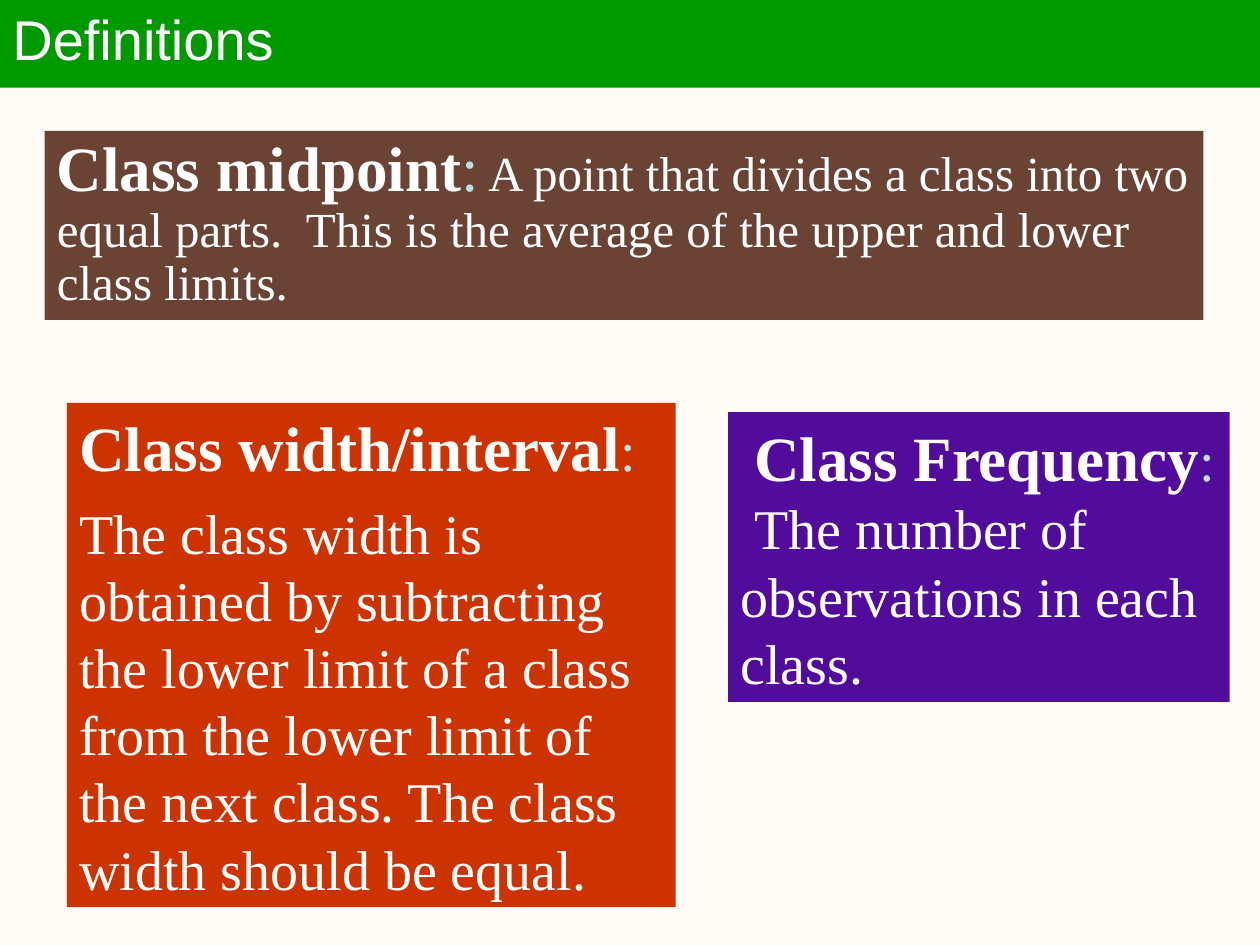
from dataclasses import dataclass

from pptx import Presentation
from pptx.dml.color import RGBColor
from pptx.enum.shapes import MSO_SHAPE
from pptx.enum.text import MSO_ANCHOR, PP_ALIGN
from pptx.util import Cm, Pt

RECT = MSO_SHAPE.RECTANGLE
TOP, MIDDLE = MSO_ANCHOR.TOP, MSO_ANCHOR.MIDDLE
LEFT = PP_ALIGN.LEFT
SERIF, SANS = "Times New Roman", "Arial"
COLORS = {
    "background": "FFFCF7",
    "title": "009900",
    "midpoint": "6B4335",
    "frequency": "510C9C",
    "width": "CC3300",
    "text": "FFFFFF",
    "colon": "BBE0E3",
}


@dataclass
class Run:
    text: str
    size: float
    color: str = "text"
    bold: bool = False
    font: str = SERIF


@dataclass
class Panel:
    fill: str
    left: float
    top: float
    width: float
    height: float
    paragraphs: list[list[Run]]
    line_spacing: float = 1.0
    space_between: float = 0
    first_indent: float = 0
    anchor: MSO_ANCHOR = TOP


def term(name: str, colon_size: float) -> list[Run]:
    """Return the bold term and its tinted colon."""
    return [Run(name, 36, bold=True), Run(":", colon_size, "colon")]


def rgb(name: str) -> RGBColor:
    """Look up a named colour."""
    return RGBColor.from_string(COLORS[name])


def add_panel(slide, panel: Panel) -> None:
    """Draw a filled rectangle with its formatted text."""
    sp = slide.shapes.add_shape(RECT, Cm(panel.left), Cm(panel.top),
                                Cm(panel.width), Cm(panel.height))
    sp.shadow.inherit = False
    sp.fill.solid()
    sp.fill.fore_color.rgb = rgb(panel.fill)
    sp.line.fill.background()
    tf = sp.text_frame
    tf.word_wrap = True
    tf.vertical_anchor = panel.anchor
    for i, runs in enumerate(panel.paragraphs):
        p = tf.add_paragraph() if i else tf.paragraphs[0]
        p.alignment = LEFT
        p.line_spacing = panel.line_spacing
        p.space_before = Pt(panel.space_between if i else 0)
        if panel.first_indent:
            p._p.get_or_add_pPr().set("indent", str(Cm(panel.first_indent)))
        for run in runs:
            r = p.add_run()
            r.text = run.text
            r.font.name = run.font
            r.font.size = Pt(run.size)
            r.font.bold = run.bold
            r.font.color.rgb = rgb(run.color)


PANELS = [
    Panel("midpoint", 0.9, 2.64, 23.36, 3.81, [
        term("Class midpoint", 36) + [
            Run(" A point that divides a class into two equal parts.  This is "
                "the average of the upper and lower class limits.", 28)],
    ], line_spacing=0.9),
    Panel("frequency", 14.68, 8.31, 10.11, 5.84, [
        term("Class Frequency", 32),
        [Run("The number of observations in each class.", 32)],
    ], first_indent=0.28),
    Panel("width", 1.35, 8.12, 12.27, 10.17, [
        term("Class width/interval", 32),
        [Run("The class width is obtained by subtracting the lower limit of a "
             "class from the lower limit of the next class. The class width "
             "should be equal.", 32)],
    ], space_between=7.7),
    Panel("title", 0, -0.05, 25.4, 1.82, [[Run("Definitions", 32, font=SANS)]],
          line_spacing=0.9, anchor=MIDDLE),
]


def main() -> None:
    """Build the definitions slide."""
    prs = Presentation()
    prs.slide_width, prs.slide_height = Cm(25.4), Cm(19.05)
    s = prs.slides.add_slide(prs.slide_layouts[6])
    s.background.fill.solid()
    s.background.fill.fore_color.rgb = rgb("background")
    for panel in PANELS:
        add_panel(s, panel)
    prs.save("out.pptx")


if __name__ == "__main__":
    main()
